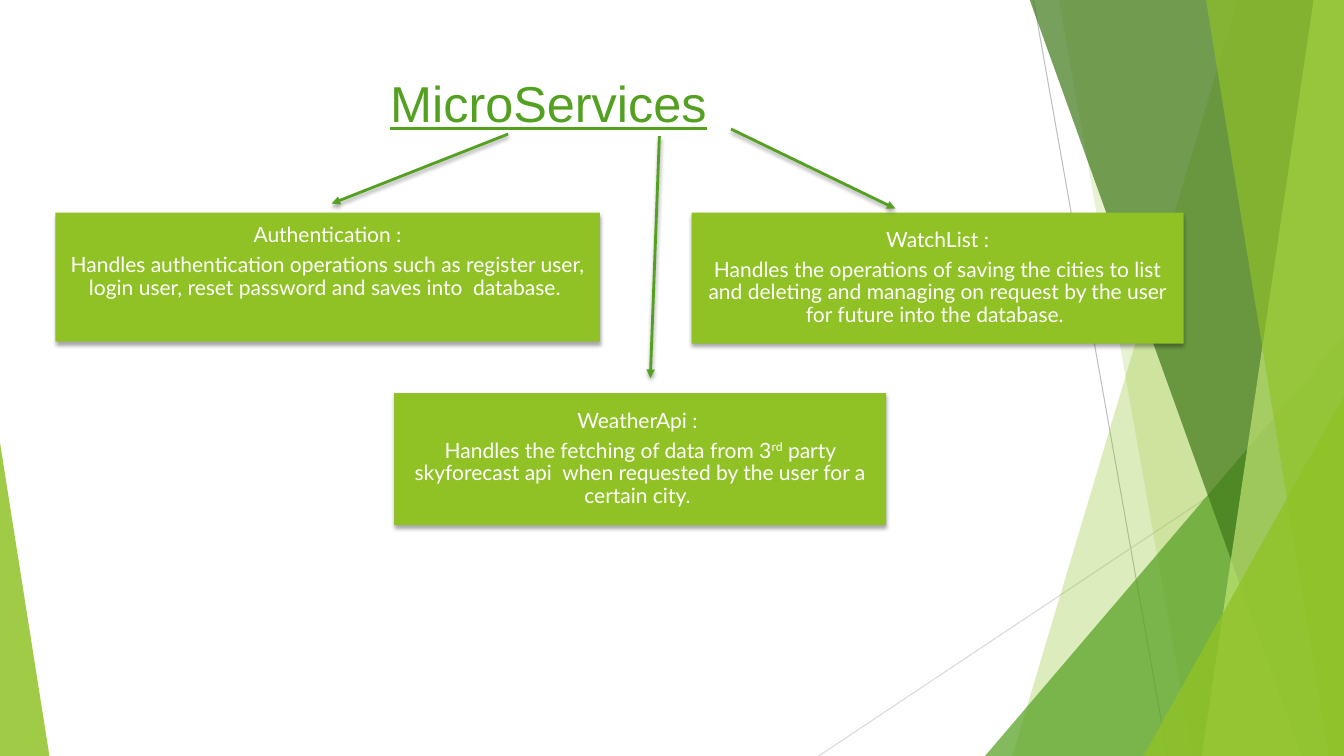
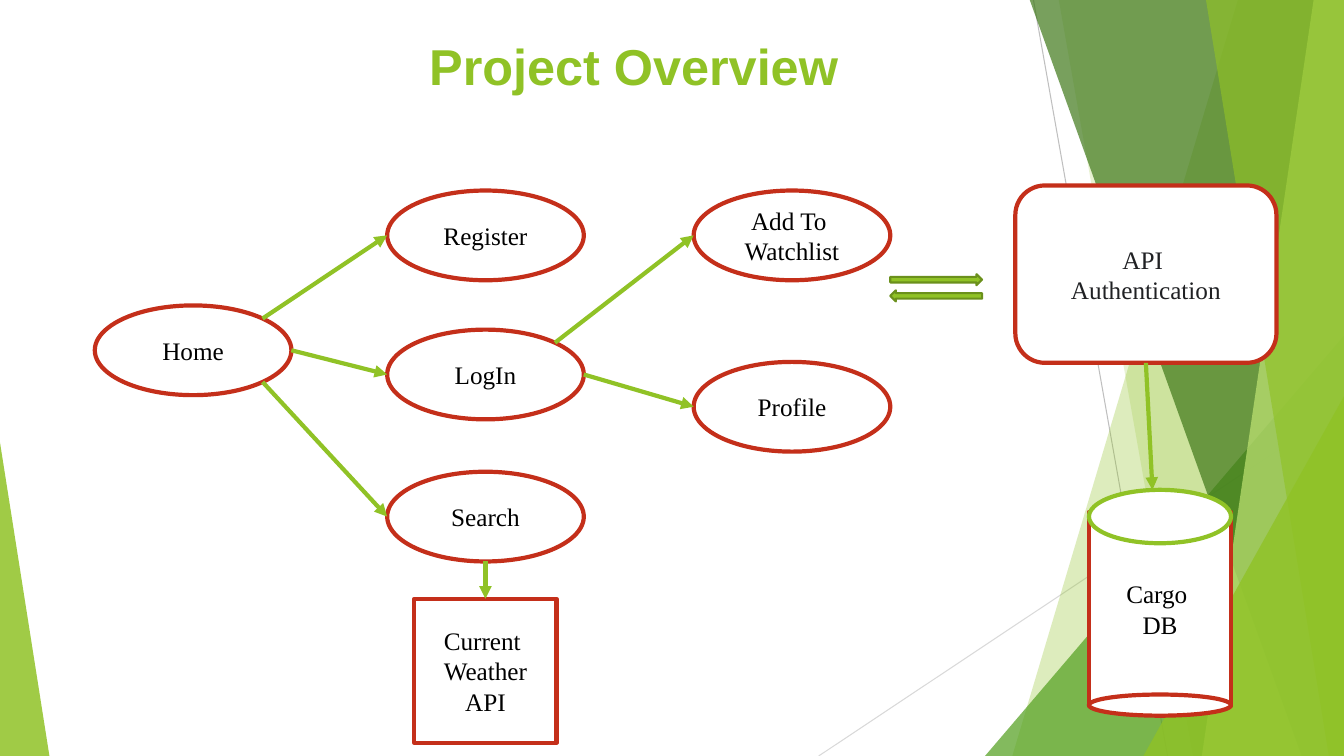
import dataclasses
import math
import typing

import lxml.etree
import pptx
import pptx.dml.color
import pptx.enum.shapes
import pptx.enum.text
import pptx.oxml.ns
import pptx.shapes.autoshape
import pptx.shapes.base
import pptx.shapes.connector
import pptx.slide
import pptx.util

Inches = pptx.util.Inches
Pt = pptx.util.Pt
MSO = pptx.enum.shapes.MSO_SHAPE
ANCHOR = pptx.enum.text.MSO_ANCHOR
qn = pptx.oxml.ns.qn
Point = tuple[float, float]


@dataclasses.dataclass(frozen=True)
class Theme:
    lime: str = "90C226"
    green: str = "54A021"
    forest: str = "3F7819"
    pale: str = "C0E474"
    olive: str = "6B901C"
    red: str = "C42F1A"
    white: str = "FFFFFF"
    black: str = "000000"
    ink: str = "202124"
    gray: str = "BFBFBF"
    silver: str = "D9D9D9"
    title_font: str = "Arial"
    card_font: str = "Lato"
    node_font: str = "Times New Roman"
    title_size: float = 36
    card_size: float = 15
    node_size: float = 18


T = Theme()
WIDTH, HEIGHT, TOP = 13.33, 7.5, -0.01


@dataclasses.dataclass(frozen=True)
class Box:
    x: float
    y: float
    w: float
    h: float

    def side(self, dx: int, dy: int) -> Point:
        k = math.sqrt(0.5) if dx and dy else 1
        return (self.x + self.w / 2 * (1 + k * dx),
                self.y + self.h / 2 * (1 + k * dy))


@dataclasses.dataclass(frozen=True)
class Facet:
    points: tuple[Point, ...]
    color: str
    alpha: int


@dataclasses.dataclass(frozen=True)
class Wedge:
    box: Box
    apex: int
    color: str
    alpha: int


@dataclasses.dataclass(frozen=True)
class Card:
    box: Box
    text: str
    bottom: float = 0.06


@dataclasses.dataclass(frozen=True)
class Node:
    box: Box
    text: str = ""
    kind: MSO = MSO.OVAL
    line: str = T.red
    color: str = T.black


def facet(top: float, bottom: float, color: str, alpha: int) -> Facet:
    return Facet(((top, TOP), (WIDTH, TOP), (WIDTH, HEIGHT), (bottom, HEIGHT)),
                 color, alpha)


BACKDROP: tuple[typing.Union[Facet, Wedge], ...] = (
    facet(12.28, 10.04, T.lime, 30),
    facet(10.5, 11.83, T.lime, 20),
    Wedge(Box(9.77, 3.33, 3.56, 4.17), 1, T.green, 72),
    facet(10.21, 12.91, T.forest, 70),
    facet(13.03, 11.92, T.pale, 70),
    facet(11.96, 13.18, T.lime, 65),
    Wedge(Box(11.34, 3.93, 1.99, 3.57), 1, T.lime, 80),
    Wedge(Box(0, 4.39, 0.49, 3.11), 0, T.lime, 85),
)

CARDS = (
    Card(Box(0.55, 2.11, 5.4, 1.28),
         "Authentication :\nHandles authentication operations such as register user, "
         "login user, reset password and saves into  database. ", 0.36),
    Card(Box(6.86, 2.11, 4.88, 1.3),
         "WatchList :\nHandles the operations of saving the cities to list and deleting "
         "and managing on request by the user for future into the database. "),
    Card(Box(3.91, 3.9, 4.88, 1.31),
         "WeatherApi : \nHandles the fetching of data from 3^rd^ party skyforecast api  "
         "when requested by the user for a certain city. "),
)
CARD_ARROWS = (((5.04, 1.33), (3.29, 2.02)),
               ((7.25, 1.28), (8.88, 2.07)),
               ((6.54, 1.35), (6.45, 3.75)))


def rgb(color: str) -> pptx.dml.color.RGBColor:
    return pptx.dml.color.RGBColor.from_string(color)


def add_shadow(sp: pptx.shapes.base.BaseShape) -> None:
    effects = sp._element.spPr.find(qn("a:effectLst"))
    outer = lxml.etree.SubElement(effects, qn("a:outerShdw"), blurRad=str(Pt(3)),
                                  dist=str(Pt(2)), dir="5400000")
    clr = lxml.etree.SubElement(outer, qn("a:srgbClr"), val=T.black)
    lxml.etree.SubElement(clr, qn("a:alpha"), val="35000")


def paint(sp: pptx.shapes.autoshape.Shape, fill: str, line: str = "",
          width: float = 3, alpha: int = 100, shadow: bool = False) -> None:
    sp.fill.solid()
    sp.fill.fore_color.rgb = rgb(fill)
    if alpha < 100:
        clr = sp._element.spPr.find(qn("a:solidFill")).find(qn("a:srgbClr"))
        lxml.etree.SubElement(clr, qn("a:alpha"), val=str(alpha * 1000))
    if line:
        sp.line.color.rgb = rgb(line)
        sp.line.width = Pt(width)
    else:
        sp.line.fill.background()
    sp.shadow.inherit = False
    if shadow:
        add_shadow(sp)


def add_box(s: pptx.slide.Slide, kind: MSO, box: Box,
            **look: typing.Any) -> pptx.shapes.autoshape.Shape:
    sp = s.shapes.add_shape(kind, Inches(box.x), Inches(box.y),
                            Inches(box.w), Inches(box.h))
    paint(sp, **look)
    return sp


def add_line(s: pptx.slide.Slide, start: Point, end: Point, color: str,
             width: float, arrow: bool = True,
             shadow: bool = False) -> pptx.shapes.connector.Connector:
    cn = s.shapes.add_connector(pptx.enum.shapes.MSO_CONNECTOR.STRAIGHT,
                                *(Inches(v) for v in start + end))
    cn.line.color.rgb = rgb(color)
    cn.line.width = Pt(width)
    spPr = cn._element.spPr
    if arrow:
        lxml.etree.SubElement(spPr.find(qn("a:ln")), qn("a:tailEnd"), type="triangle")
    lxml.etree.SubElement(spPr, qn("a:effectLst"))
    if shadow:
        add_shadow(cn)
    return cn


def write(sp: pptx.shapes.autoshape.Shape, text: str, *, font: str, size: float,
          color: str, bold: bool = False, underline: bool = False,
          anchor: ANCHOR = ANCHOR.MIDDLE, spacing: float = 1, after: float = 0,
          inset: tuple[float, float, float, float] = (0.1, 0.05, 0.1, 0.05)) -> None:
    tf = sp.text_frame
    tf.word_wrap = True
    tf.vertical_anchor = anchor
    tf.margin_left, tf.margin_top, tf.margin_right, tf.margin_bottom = map(Inches, inset)
    for i, line in enumerate(text.split("\n")):
        p = tf.add_paragraph() if i else tf.paragraphs[0]
        p.alignment = pptx.enum.text.PP_ALIGN.CENTER
        p.line_spacing = spacing
        p.space_after = Pt(after)
        for j, part in enumerate(line.split("^")):
            r = p.add_run()
            r.text = part
            r.font.name = font
            r.font.size = Pt(size)
            r.font.bold = bold
            r.font.underline = underline
            r.font.color.rgb = rgb(color)
            if j % 2:
                r._r.get_or_add_rPr().set("baseline", "30000")


def add_backdrop(s: pptx.slide.Slide) -> None:
    add_line(s, (10.25, 0), (11.58, HEIGHT), T.gray, 0.75, arrow=False)
    add_line(s, (WIDTH, 4.03), (8.12, HEIGHT), T.silver, 0.75, arrow=False)
    for part in BACKDROP:
        if isinstance(part, Wedge):
            sp = add_box(s, MSO.ISOSCELES_TRIANGLE, part.box,
                         fill=part.color, alpha=part.alpha)
            sp.adjustments[0] = part.apex
        else:
            points = [(Inches(x), Inches(y)) for x, y in part.points]
            fb = s.shapes.build_freeform(*points[0])
            fb.add_line_segments(points[1:], close=True)
            paint(fb.convert_to_shape(), part.color, alpha=part.alpha)


def new_slide(prs: pptx.presentation.Presentation, title: str, box: Box,
              **style: typing.Any) -> pptx.slide.Slide:
    s = prs.slides.add_slide(prs.slide_layouts[6])
    add_backdrop(s)
    tb = s.shapes.add_textbox(Inches(box.x), Inches(box.y),
                              Inches(box.w), Inches(box.h))
    write(tb, title, font=T.title_font, size=T.title_size, anchor=ANCHOR.TOP, **style)
    return s


def add_services(prs: pptx.presentation.Presentation) -> None:
    s = new_slide(prs, "MicroServices", Box(0.74, 0.67, 9.4, 1.35),
                  color=T.green, underline=True)
    for card in CARDS:
        sp = add_box(s, MSO.RECTANGLE, card.box, fill=T.lime, shadow=True)
        write(sp, card.text, font=T.card_font, size=T.card_size, color=T.white,
              spacing=0.9, after=5.25, inset=(0.06, 0.06, 0.06, card.bottom))
    for start, end in CARD_ARROWS:
        add_line(s, start, end, T.green, 2, shadow=True)


def oval(x: float, y: float, text: str) -> Node:
    return Node(Box(x, y, 1.95, 0.89), text)


def add_overview(prs: pptx.presentation.Presentation) -> None:
    s = new_slide(prs, "Project Overview", Box(1.14, 0.3, 10.29, 1.53),
                  color=T.lime, bold=True)
    left, middle, right, store = 0.94, 3.84, 6.88, 10.8
    home = oval(left, 3.03, "Home")
    register = oval(middle, 1.89, "Register")
    login = oval(middle, 3.27, "LogIn")
    search = oval(middle, 4.68, "Search")
    watchlist = oval(right, 1.89, "Add To \nWatchlist")
    profile = oval(right, 3.59, "Profile")
    weather = Node(Box(4.11, 5.94, 1.41, 1.43), "Current \nWeather\nAPI", MSO.RECTANGLE)
    auth = Node(Box(10.07, 1.84, 2.59, 1.76), "API \nAuthentication",
                MSO.ROUNDED_RECTANGLE, color=T.ink)
    body = Node(Box(store, 5.08, 1.41, 1.92), "Cargo \nDB", MSO.RECTANGLE)
    lid = Node(Box(store, 4.86, 1.41, 0.53), line=T.lime)
    base = Node(Box(store, 6.89, 1.41, 0.21))
    for node in (home, register, login, search, watchlist, profile,
                 weather, auth, body, lid, base):
        sp = add_box(s, node.kind, node.box, fill=T.white, line=node.line)
        if node.text:
            write(sp, node.text, font=T.node_font, size=T.node_size, color=node.color)

    links = ((home, (1, -1), register), (home, (1, 0), login), (home, (1, 1), search),
             (login, (1, -1), watchlist), (login, (1, 0), profile))
    for source, side, target in links:
        add_line(s, source.box.side(*side), target.box.side(-1, 0), T.lime, 3)
    add_line(s, search.box.side(0, 1), weather.box.side(0, -1), T.lime, 3)
    add_line(s, auth.box.side(0, 1), (11.43, lid.box.y), T.lime, 3)
    for y, angle in ((2.72, 0), (2.88, 180)):
        sp = add_box(s, MSO.RIGHT_ARROW, Box(8.83, y, 0.91, 0.11),
                     fill=T.lime, line=T.olive, width=1.5)
        sp.rotation = angle


def main() -> None:
    prs = pptx.Presentation()
    prs.slide_width = Inches(WIDTH)
    prs.slide_height = Inches(HEIGHT)
    add_services(prs)
    add_overview(prs)
    prs.save("out.pptx")


if __name__ == "__main__":
    main()
